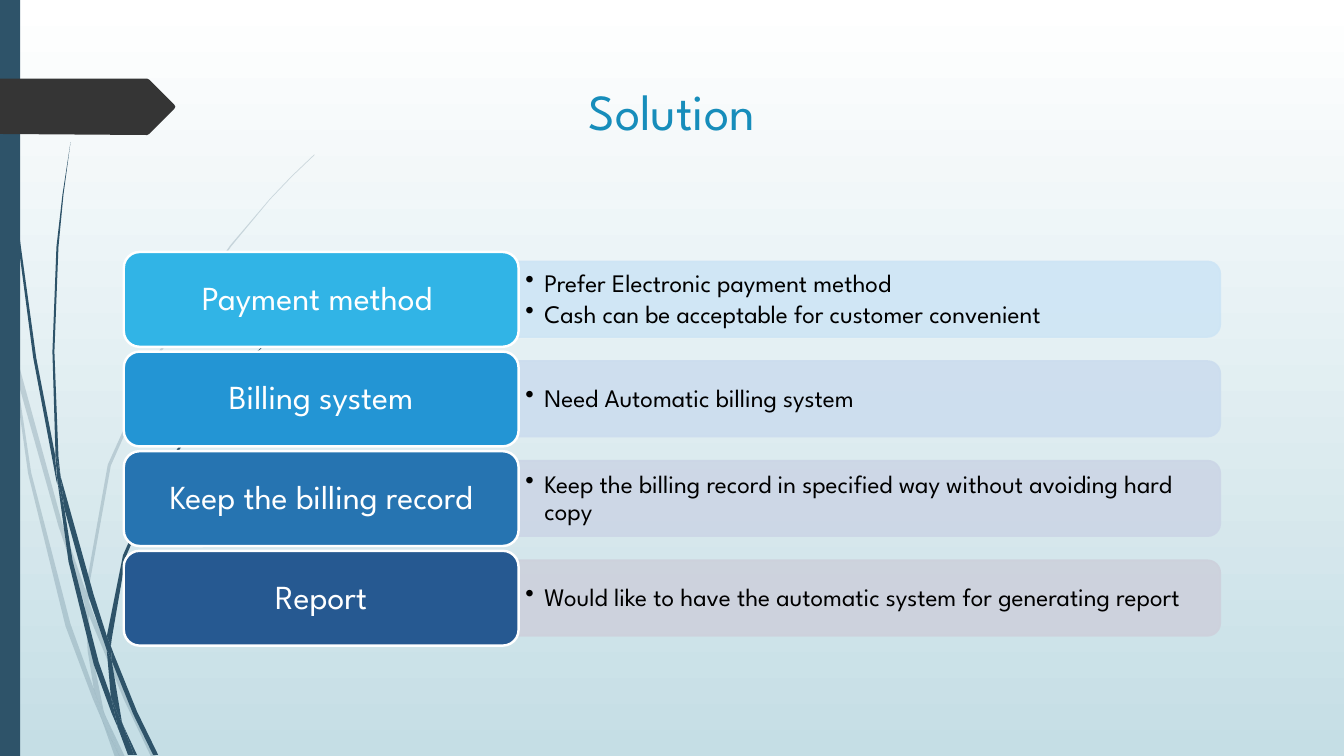
"""Build the Solution slide with four labelled rows."""
from lxml.etree import SubElement as Sub
from pptx import Presentation
from pptx.dml.color import RGBColor as Rgb
from pptx.enum.shapes import MSO_SHAPE as Kind
from pptx.enum.text import MSO_ANCHOR as Anchor, PP_ALIGN as Align
from pptx.oxml.ns import qn
from pptx.util import Cm, Pt

FACE = "League Spartan"
WHITE = Rgb(0xFF, 0xFF, 0xFF)
BLACK = Rgb(0, 0, 0)
MIST = Rgb(0xC5, 0xDE, 0xE5)
SLATE = Rgb(0x2E, 0x53, 0x69)
COAL = Rgb(0x35, 0x35, 0x35)
TEAL = Rgb(0x17, 0x8D, 0xBB)
INCH = 2.54
STEP = 2.51

ROWS = (
    ("Payment method ", Rgb(0x31, 0xB4, 0xE6), Rgb(0xCE, 0xE5, 0xF5),
     ("Prefer Electronic payment method",
      "Cash can be acceptable for customer convenient")),
    ("Billing system", Rgb(0x23, 0x95, 0xD4), Rgb(0xCC, 0xDD, 0xEE),
     ("Need Automatic billing system",)),
    ("Keep the billing record", Rgb(0x26, 0x74, 0xB1), Rgb(0xCC, 0xD6, 0xE6),
     ("Keep the billing record in specified way without avoiding hard copy",)),
    ("Report", Rgb(0x26, 0x59, 0x91), Rgb(0xCD, 0xD1, 0xDC),
     ("Would like to have the automatic system for generating report",)),
)

PALE = (
    "11,350 9,322 0,282 0,299 10,344",
    "58,522 84,599 85,586 62,520 14,345 17,376",
    "92,607 88,596 88,610 123,694 150,751 155,751 127,692",
    "119,751 124,751 105,711",
    "93,683 70,619 31,469 17,376 11,350 28,470 65,621 92,693 101,714 99,707",
    "84,599 87,646 93,683 96,692 105,711 103,706 91,646 88,610 88,608",
    "88,584 110,462 160,349 229,245 268,198 290,175 312,154 312,153 289,175 "
    "268,197 228,244 158,348 107,461 85,584 85,586 88,596",
    "101,714 114,751 119,751",
    "88,608 88,610 88,596 85,586 84,599",
    "96,692 93,683 99,707 101,714 119,751 105,711",
)

DARK = (
    "7,110 17,233 33,355 56,477 57,481 55,457 55,453 36,355 19,232 8,109 5,48 4,0 3,0 4,48",
    "88,592 106,645 106,633 106,631 93,590 60,472 64,505",
    "113,649 110,641 111,656 132,708 152,749 157,749 136,706",
    "110,691 98,657 72,556 64,505 57,477 68,557 93,659 111,708 117,722 116,717",
    "60,472 58,453 54,349 58,245 63,193 70,141 62,193 56,245 52,349 55,449",
    "133,749 136,749 122,719",
    "57,477 64,505 60,472 55,449 55,453",
    "111,633 125,552 158,476 205,406 231,374 245,359 261,344 260,344 245,358 "
    "231,373 204,405 156,474 122,551 106,631 110,641",
    "117,722 127,749 131,749",
    "106,645 110,691 116,706 122,719 121,716 111,656 109,651",
    "106,645 109,651 111,656 110,641 106,631 106,633",
    "116,706 110,691 116,717 117,722 130,749 133,749 122,719",
)

TAG = "0,78 146,78 148,79 173,104 174,106 173,108 148,133 146,134 0,133"


def fade(shape, percent):
    """Make the colours of a shape partly clear."""
    for tint in shape.element.spPr.iter(qn("a:srgbClr")):
        Sub(tint, qn("a:alpha"), val=str(percent * 1000))


def paint(shape, fill, edge=None, width=0):
    """Set the fill and the edge of a shape."""
    shape.shadow.inherit = False
    shape.fill.solid()
    shape.fill.fore_color.rgb = fill
    if edge is None:
        shape.line.fill.background()
    else:
        shape.line.color.rgb = edge
        shape.line.width = Pt(width)


def trace(shapes, text, fill):
    """Draw a closed outline from pairs in hundredths of an inch."""
    spots = [tuple(Cm(int(n) * INCH / 100) for n in pair.split(",")) for pair in text.split()]
    form = shapes.build_freeform(*spots[0], scale=1.0)
    form.add_line_segments(spots[1:], close=True)
    shape = form.convert_to_shape()
    paint(shape, fill)
    return shape


def style(para, size, tint):
    """Set the font of a paragraph."""
    para.font.name = FACE
    para.font.size = Pt(size)
    para.font.color.rgb = tint


def add_bar(shapes, top, tint):
    """Add the pale bar behind a list."""
    bar = shapes.add_shape(Kind.ROUND_2_SAME_RECTANGLE, Cm(20.96), Cm(top - 7.65), Cm(1.9), Cm(17.68))
    bar.rotation = 90
    paint(bar, tint, tint, 1.25)
    fade(bar, 90)


def add_list(shapes, top, items):
    """Add the bullet list of a row."""
    frame = shapes.add_textbox(Cm(13.06), Cm(top + 0.33), Cm(17.58), Cm(1.73)).text_frame
    frame.word_wrap = True
    frame.vertical_anchor = Anchor.MIDDLE
    frame.margin_left = frame.margin_right = Cm(0.18)
    frame.margin_top = frame.margin_bottom = Cm(0.1)
    frame.text = "\n".join(items)
    for para in frame.paragraphs:
        para.level = 1
        para.line_spacing = 0.9
        para.space_after = Pt(2.7)
        props = para._p.get_or_add_pPr()
        props.set("marL", str(Cm(0.48)))
        props.set("indent", str(-Cm(0.48)))
        Sub(props, qn("a:buChar"), char="•")
        style(para, 18, BLACK)


def add_label(shapes, top, text, fill):
    """Add the bright label of a row."""
    label = shapes.add_shape(Kind.ROUNDED_RECTANGLE, Cm(3.12), Cm(top), Cm(9.95), Cm(2.39))
    paint(label, fill, WHITE, 1.75)
    frame = label.text_frame
    frame.word_wrap = True
    frame.vertical_anchor = Anchor.MIDDLE
    frame.text = text
    para = frame.paragraphs[0]
    para.alignment = Align.CENTER
    para.line_spacing = 0.9
    style(para, 24, WHITE)


def add_title(title, text):
    """Place and format the title."""
    title.left, title.top, title.width, title.height = Cm(1.78), Cm(1.9), Cm(30.3), Cm(4.11)
    title.text_frame.text = text
    title.text_frame.vertical_anchor = Anchor.TOP
    para = title.text_frame.paragraphs[0]
    para.alignment = Align.CENTER
    style(para, 36, TEAL)


def add_scene(slide):
    """Add the backdrop, the strands, the side band and the tag."""
    fill = slide.background.fill
    fill.gradient()
    fill.gradient_angle = 270
    for stop, place, tint in zip(fill.gradient_stops, (0, 1), (WHITE, MIST)):
        stop.position = place
        stop.color.rgb = tint
    for text in PALE:
        fade(trace(slide.shapes, text, SLATE), 20)
    for text in DARK:
        trace(slide.shapes, text, SLATE)
    band = slide.shapes.add_shape(Kind.RECTANGLE, 0, 0, Cm(0.51), Cm(19.05))
    paint(band, SLATE)
    trace(slide.shapes, TAG, COAL)


def main():
    """Build and save the slide."""
    deck = Presentation()
    deck.slide_width, deck.slide_height = Cm(33.87), Cm(19.05)
    slide = deck.slides.add_slide(deck.slide_layouts[5])
    add_scene(slide)
    add_title(slide.shapes.title, "Solution")
    for i, (name, fill, tint, items) in enumerate(ROWS):
        top = 6.35 + i * STEP
        add_bar(slide.shapes, top, tint)
        add_list(slide.shapes, top, items)
        add_label(slide.shapes, top, name, fill)
    deck.save("out.pptx")


if __name__ == "__main__":
    main()
